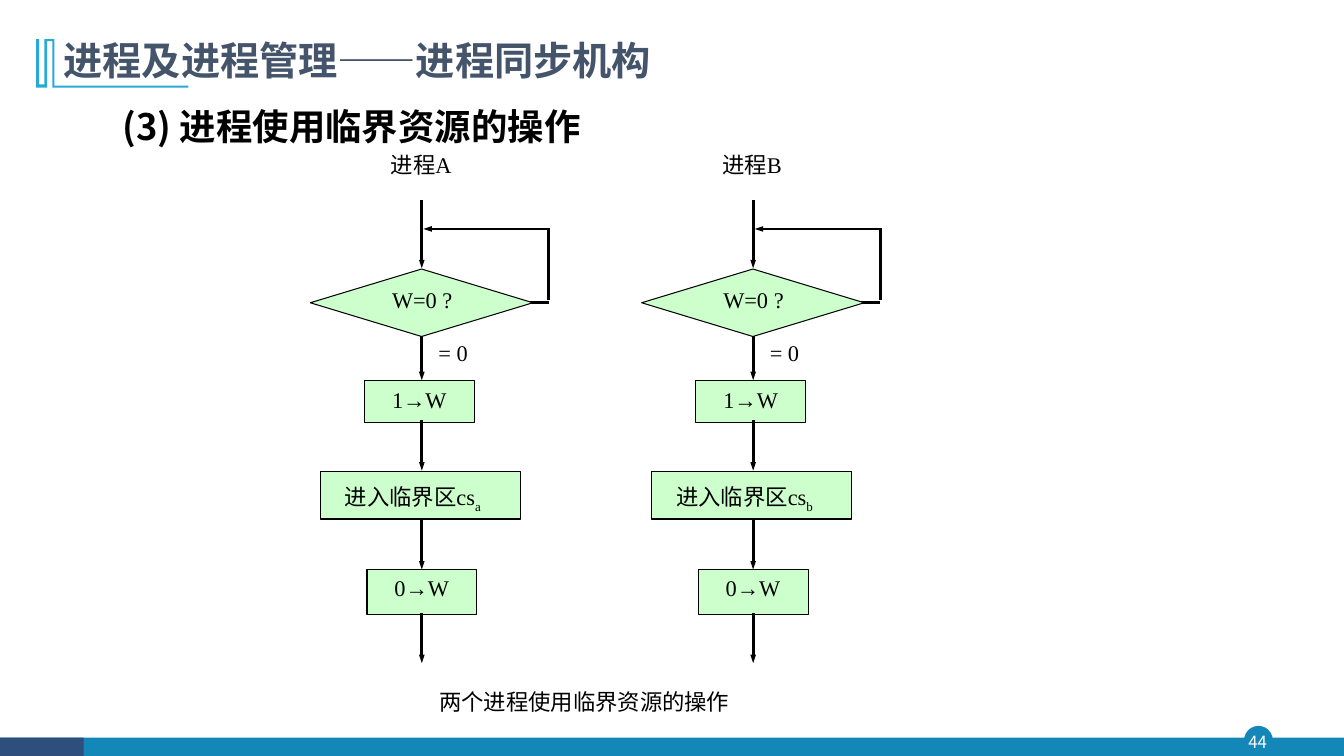
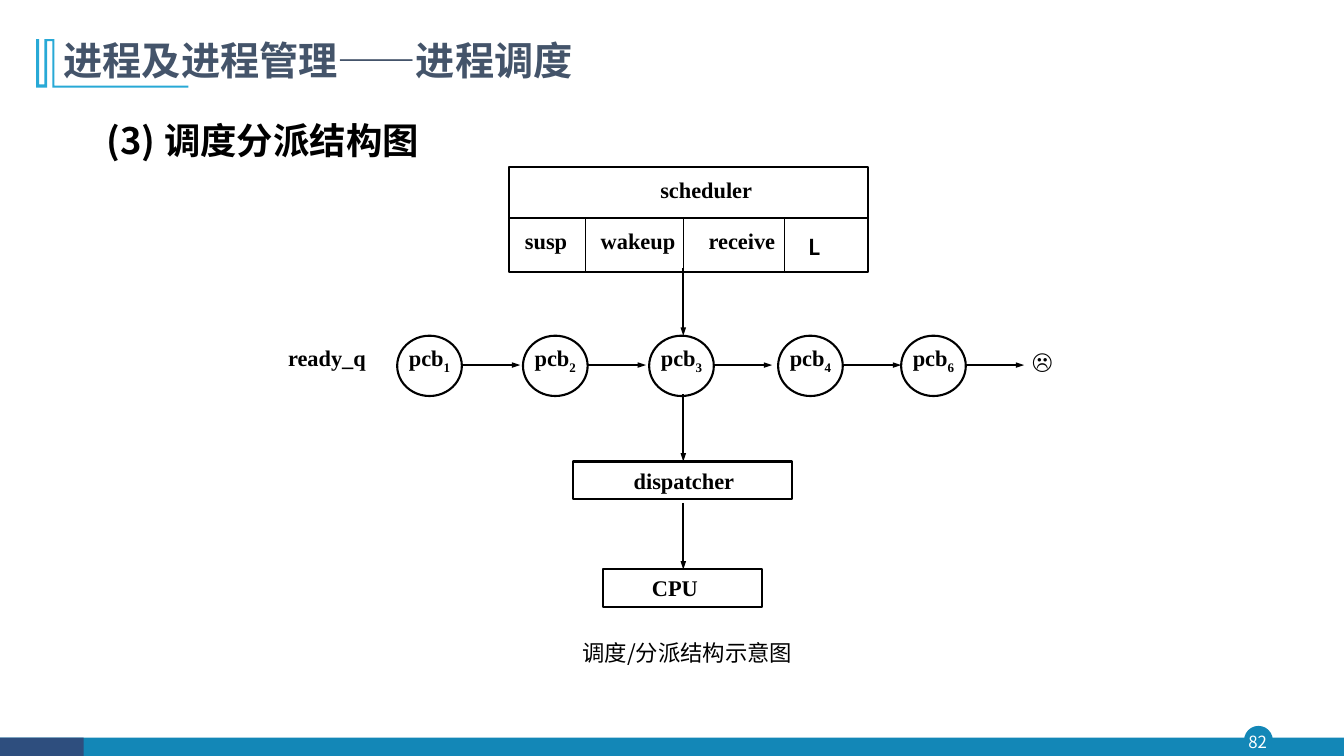
from lxml.etree import SubElement
from pptx import Presentation
from pptx.dml.color import RGBColor
from pptx.enum.shapes import MSO_CONNECTOR, MSO_SHAPE
from pptx.enum.text import MSO_ANCHOR, MSO_AUTO_SIZE, PP_ALIGN
from pptx.oxml.ns import qn
from pptx.util import Cm, Pt

# Shared style
BLACK, WHITE = "000000", "FFFFFF"
TITLE_COLOR, MARK_COLOR = "44546A", "28A9D6"
BAND_COLOR, BAND_END_COLOR = "1387B7", "2E4E7E"
BOX_COLOR = "CCFFCC"
SANS, SERIF, SYMBOL = "Noto Sans CJK SC", "Times New Roman", "Lato"


def rgb(value):
    return RGBColor.from_string(value)


def lengths(*values):
    return [Cm(value) for value in values]


# Element helpers
def add_run(paragraph, text, size=16, font=SERIF, color=BLACK, bold=False, subscript=False):
    run = paragraph.add_run()
    run.text = text
    run.font.size = Pt(size)
    run.font.name = font
    run.font.bold = bold
    run.font.color.rgb = rgb(color)
    properties = run.font._element
    SubElement(properties, qn("a:ea")).set("typeface", SANS)
    if subscript:
        properties.set("baseline", "-25000")


def write_text(frame, text, subscript="", align=PP_ALIGN.LEFT, anchor=MSO_ANCHOR.TOP,
               line_spacing=1.0, space_before=0, inset=None, wrap=True, **font_format):
    """Fill a text frame; inset is (left, top) in cm, the right and bottom follow."""
    frame.word_wrap = wrap
    frame.auto_size = MSO_AUTO_SIZE.NONE
    frame.vertical_anchor = anchor
    if inset is not None:
        left, top = lengths(*inset)
        frame.margin_left, frame.margin_top = left, top
        frame.margin_right = frame.margin_bottom = 0
    paragraph = frame.paragraphs[0]
    paragraph.alignment = align
    paragraph.line_spacing = line_spacing
    paragraph.space_before = Pt(space_before)
    add_run(paragraph, text, **font_format)
    if subscript:
        add_run(paragraph, subscript, subscript=True, **font_format)


def add_label(slide, place, text, **text_format):
    write_text(slide.shapes.add_textbox(*lengths(*place)).text_frame, text, **text_format)


def add_box(slide, place, text="", kind=MSO_SHAPE.RECTANGLE, fill=None,
            line=BLACK, line_width=0.75, **text_format):
    shape = slide.shapes.add_shape(kind, *lengths(*place))
    style_shape(shape, fill, line, line_width)
    if text:
        write_text(shape.text_frame, text, **text_format)
    return shape


def style_shape(shape, fill, line=None, line_width=0.75):
    shape.shadow.inherit = False
    if fill:
        shape.fill.solid()
        shape.fill.fore_color.rgb = rgb(fill)
    else:
        shape.fill.background()
    if line:
        shape.line.color.rgb = rgb(line)
        shape.line.width = Pt(line_width)
    else:
        shape.line.fill.background()


def add_line(slide, start, end, width=1.5, arrow=False):
    connector = slide.shapes.add_connector(MSO_CONNECTOR.STRAIGHT, *lengths(*start, *end))
    connector.line.color.rgb = rgb(BLACK)
    connector.line.width = Pt(width)
    properties = connector.element.spPr
    if arrow:
        head = SubElement(properties.find(qn("a:ln")), qn("a:tailEnd"))
        for name, value in (("type", "triangle"), ("w", "sm"), ("len", "med")):
            head.set(name, value)
    SubElement(properties, qn("a:effectLst"))


# Shared layout
def add_title_mark(slide):
    points = [(1.37, 0.99), (1.37, 2.16), (4.75, 2.16), (4.75, 2.21), (1.32, 2.21),
              (1.32, 1.04), (1.19, 1.04), (1.19, 2.21), (0.91, 2.21), (0.91, 0.99),
              (0.99, 0.99), (0.99, 2.13), (1.12, 2.13), (1.12, 0.99)]
    corners = [lengths(*point) for point in points]
    builder = slide.shapes.build_freeform(*corners[0])
    builder.add_line_segments(corners[1:], close=True)
    mark = builder.convert_to_shape()
    style_shape(mark, MARK_COLOR)
    return mark


def decorate_layout(layout, slide):
    """Draw the shared decoration on a slide and move it to the layout."""
    decoration = [
        add_box(slide, (31.37, 18.31, 0.69, 0.69), kind=MSO_SHAPE.OVAL,
                fill=BAND_COLOR, line=BAND_COLOR, line_width=1),
        add_box(slide, (0, 18.59, 33.87, 0.46), fill=BAND_COLOR, line=None),
        add_box(slide, (0, 18.59, 2.11, 0.46), fill=BAND_END_COLOR, line=None),
        add_title_mark(slide),
    ]
    for number, shape in enumerate(decoration, start=100):
        shape.element.xpath(".//p:cNvPr")[0].set("id", str(number))
        layout.shapes.element.append(shape.element)


def start_slide(presentation, layout, topic, page):
    slide = presentation.slides.add_slide(layout)
    title = slide.shapes.title
    title.left, title.top, title.width, title.height = lengths(1.35, 0.86, 26.64, 1.42)
    write_text(title.text_frame, "进程及进程管理——" + topic, anchor=MSO_ANCHOR.MIDDLE,
               line_spacing=0.9, size=28, font=SANS, color=TITLE_COLOR, bold=True)
    add_label(slide, (31.29, 18.31, 0.81, 0.79), str(page), align=PP_ALIGN.CENTER,
              anchor=MSO_ANCHOR.MIDDLE, inset=(0, 0), size=12, font=SANS, color=WHITE)
    return slide


def add_heading(slide, left, top, text):
    add_label(slide, (left, top, 20, 1.73), text, line_spacing=1.5, space_before=10,
              size=26, font=SANS, bold=True)


# Flow chart of one process
def draw_process(slide, shift, name, section):
    axis = 10.63 + shift
    loop = 13.83 + shift

    add_label(slide, (9.6 + shift, 3.68, 2.77, 0.94), "进程" + name)
    add_box(slide, (9.19 + shift, 9.6, 2.77, 1.04), "1→W", fill=BOX_COLOR, inset=(0.69, 0.13))
    add_box(slide, (8.08 + shift, 11.89, 5.03, 1.19), "进入临界区cs", subscript=section,
            fill=BOX_COLOR, inset=(0.61, 0.13), line_spacing=1.2)
    add_box(slide, (9.25 + shift, 14.35, 2.77, 1.14), "0→W", fill=BOX_COLOR, inset=(0.69, 0.13))

    for top, bottom in ((5.05, 6.76), (7.9, 9.58), (10.59, 11.86), (13.08, 14.35), (15.44, 16.71)):
        add_line(slide, (axis, top), (axis, bottom), width=2, arrow=True)
    add_line(slide, (loop - 1.1, 7.62), (loop, 7.62), width=2)
    add_line(slide, (loop, 7.57), (loop, 5.77), width=2)
    add_line(slide, (loop + 0.04, 5.77), (axis + 0.04, 5.77), width=2, arrow=True)

    add_box(slide, (7.82 + shift, 6.78, 5.61, 1.7), kind=MSO_SHAPE.FLOWCHART_DECISION,
            fill=BOX_COLOR)
    add_label(slide, (9.63 + shift, 7.09, 2.24, 0.94), "W=0 ?")
    add_label(slide, (10.8 + shift, 8.43, 1.47, 0.94), "= 0")


def fill_resource_slide(slide):
    add_heading(slide, 2.84, 1.96, "(3) 进程使用临界资源的操作")
    draw_process(slide, 0, "A", "a")
    draw_process(slide, 8.35, "B", "b")
    add_label(slide, (10.82, 17.07, 8.48, 1.07), "两个进程使用临界资源的操作", line_spacing=1.2)


# Scheduling diagram
def draw_scheduler(slide):
    left, top, width, height = 12.83, 4.22, 9.04, 2.64
    divider = 5.49
    add_box(slide, (left, top, width, height), line_width=1.5)
    add_line(slide, (left, divider), (left + width, divider))
    for column in (14.76, 17.22, 19.76):
        add_line(slide, (column, divider), (column, top + height), width=0.75)
    cells = (("scheduler", 16.64, 4.45, SERIF), ("susp", 13.23, 5.72, SERIF),
             ("wakeup", 15.14, 5.72, SERIF), ("receive", 17.86, 5.72, SERIF),
             ("L", 20.37, 5.87, SYMBOL))
    for text, cell_left, cell_top, font in cells:
        add_label(slide, (cell_left, cell_top, 2.5, 0.69), text, inset=(0, 0),
                  wrap=False, font=font, bold=True)


def draw_ready_queue(slide):
    width, height, top = 1.63, 1.52, 8.46
    add_label(slide, (7.26, 8.66, 2.74, 0.69), "ready_q", inset=(0, 0), bold=True)
    for number, left in (("1", 10.01), ("2", 13.18), ("3", 16.36), ("4", 19.61), ("6", 22.71)):
        add_box(slide, (left, top, width, height), "pcb", subscript=number, kind=MSO_SHAPE.OVAL,
                line_width=1.5, align=PP_ALIGN.CENTER, inset=(0, 0), wrap=False, bold=True)
        right = left + width
        add_line(slide, (right, 9.2), (right + 1.47, 9.2), arrow=True)
    add_label(slide, (26.01, 8.76, 0.89, 0.69), "☹", inset=(0, 0), font=SYMBOL, bold=True)


def fill_dispatch_slide(slide):
    add_heading(slide, 2.44, 2.31, "(3) 调度分派结构图")
    draw_scheduler(slide)
    draw_ready_queue(slide)
    add_box(slide, (14.45, 11.63, 5.51, 0.94), "dispatcher", line_width=1.5,
            inset=(1.52, 0.13), bold=True)
    add_box(slide, (15.19, 14.35, 4.01, 0.94), "CPU", line_width=1.5,
            inset=(1.24, 0.13), bold=True)
    for top, bottom in ((6.76, 8.46), (9.93, 11.63), (12.67, 14.35)):
        add_line(slide, (17.22, top), (17.22, bottom), arrow=True)
    add_label(slide, (14.43, 15.85, 6.43, 1.07), "调度/分派结构示意图", font=SANS, line_spacing=1.2)


def main():
    presentation = Presentation()
    presentation.slide_width, presentation.slide_height = lengths(33.87, 19.05)
    layout = presentation.slide_layouts.get_by_name("Title Only")

    resource_slide = start_slide(presentation, layout, "进程同步机构", 44)
    decorate_layout(layout, resource_slide)
    fill_resource_slide(resource_slide)

    dispatch_slide = start_slide(presentation, layout, "进程调度", 82)
    fill_dispatch_slide(dispatch_slide)

    presentation.save("out.pptx")


if __name__ == "__main__":
    main()
